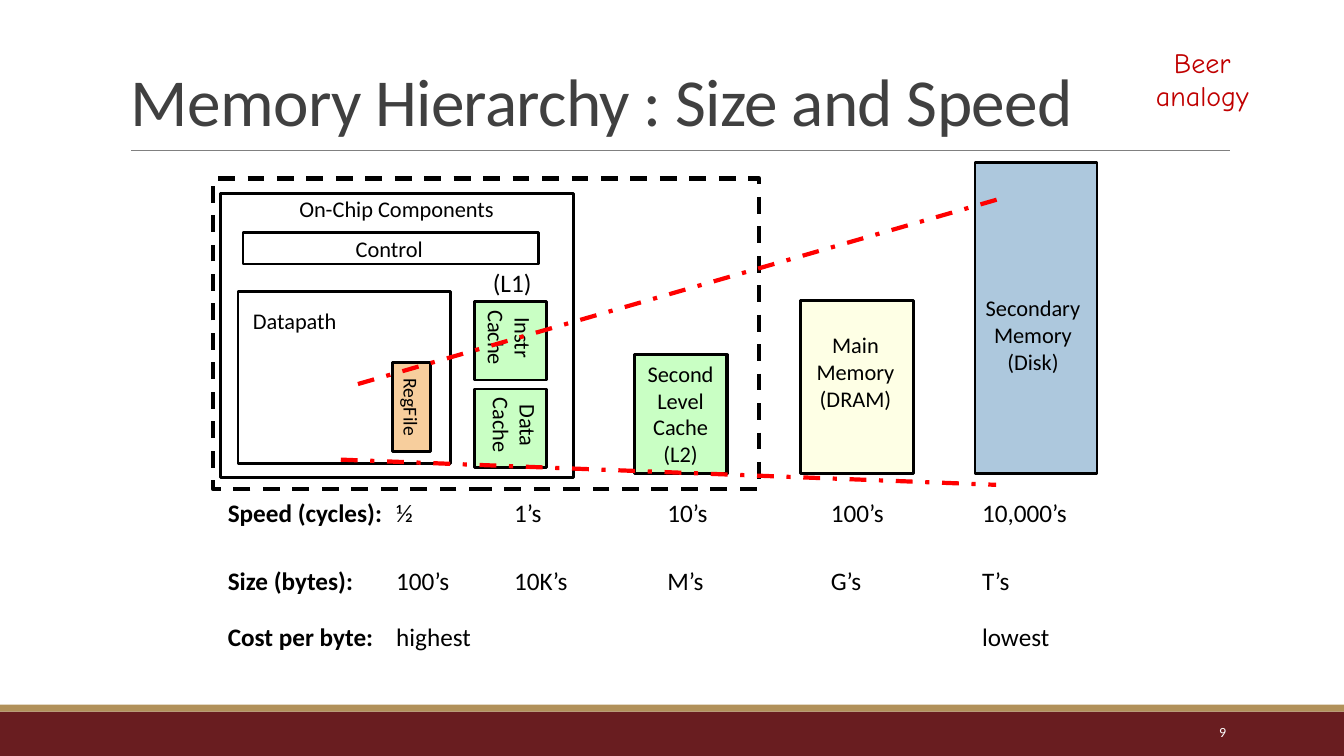
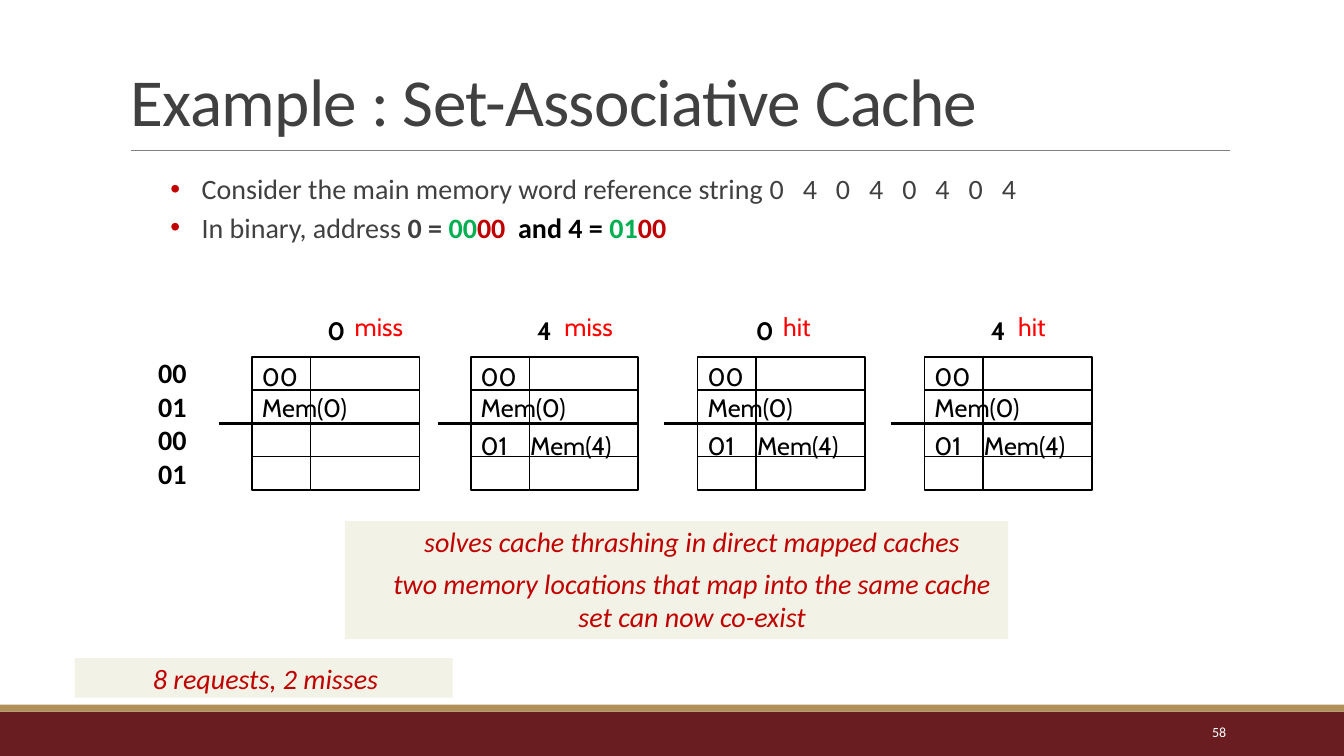
"""Build two lecture slides on the memory hierarchy and set-associative caches."""
from lxml import etree
from pptx import Presentation
from pptx.dml.color import RGBColor
from pptx.enum.dml import MSO_LINE as Dash
from pptx.enum.shapes import MSO_CONNECTOR as Link, MSO_SHAPE as Form
from pptx.enum.text import MSO_ANCHOR as Anchor, PP_ALIGN as Align
from pptx.oxml.ns import qn
from pptx.util import Inches, Pt

BLACK = RGBColor(0x00, 0x00, 0x00)
WHITE = RGBColor(0xFF, 0xFF, 0xFF)
GRAY = RGBColor(0x40, 0x40, 0x40)
RULE = RGBColor(0x80, 0x80, 0x80)
MAROON = RGBColor(0x69, 0x1D, 0x20)
GOLD = RGBColor(0xB1, 0x91, 0x5A)
CRIMSON = RGBColor(0xC0, 0x00, 0x00)
RED = RGBColor(0xFF, 0x00, 0x00)
LEAF = RGBColor(0x00, 0xB0, 0x50)
MINT = RGBColor(0xC9, 0xFF, 0xC4)
BLUE = RGBColor(0xAD, 0xC8, 0xDD)
CREAM = RGBColor(0xFE, 0xFF, 0xE5)
PEACH = RGBColor(0xF7, 0xCE, 0x9D)
SAND = RGBColor(0xF3, 0xF2, 0xE6)

WIDE = {"margin_left": 0.1, "margin_right": 0.1, "margin_top": 0.05, "margin_bottom": 0.05}
SLIM = {"margin_left": 0.07, "margin_right": 0.07, "margin_top": 0.03, "margin_bottom": 0.03}
FLUSH = {**WIDE, "margin_left": 0, "margin_right": 0}
MID = {"alignment": Align.CENTER}
TIGHT = {"line_spacing": 0.85}


class Deck:
    """Hold the shared style and the current slide."""

    def __init__(self):
        self.deck = Presentation()
        self.deck.slide_width, self.deck.slide_height = Inches(13.33), Inches(7.5)
        self.slide = None

    def page(self, title, number):
        self.slide = self.deck.slides.add_slide(self.deck.slide_layouts[6])
        self.box((0, 7.06, 13.33, 0.44), MAROON)
        self.box((0, 6.99, 13.33, 0.07), GOLD)
        self.line((1.3, 1.49), (12.2, 1.49), RULE, 0.5)
        self.text((1.2, 0.31, 11, 1.13), [title], TIGHT, anchor=Anchor.BOTTOM,
                  size=48, color=GRAY, spc=-50)
        self.text((10.83, 7.06, 1.43, 0.4), [number], {"alignment": Align.RIGHT},
                  anchor=Anchor.MIDDLE, size=10, color=WHITE)

    def box(self, at, fill=None, line=None, width=2, dash=None):
        shape = self.slide.shapes.add_shape(Form.RECTANGLE, *map(Inches, at))
        shape.shadow.inherit = False
        if fill is None:
            shape.fill.background()
        else:
            shape.fill.solid()
            shape.fill.fore_color.rgb = fill
        if line is None:
            shape.line.fill.background()
        else:
            self.pen(shape.line, line, width, dash)
        return shape

    def pen(self, line, color, width, dash):
        line.color.rgb = color
        for key, value in {"width": Pt(width), "dash_style": dash}.items():
            setattr(line, key, value)

    def line(self, start, end, color=BLACK, width=1, dash=None, head=None, tail=None):
        link = self.slide.shapes.add_connector(Link.STRAIGHT, *map(Inches, (*start, *end)))
        if head:
            link.begin_connect(*head)
        if tail:
            link.end_connect(*tail)
        self.pen(link.line, color, width, dash)
        etree.SubElement(link._element.spPr, qn("a:effectLst"))

    def text(self, at, lines, para=None, turn=0, **look):
        shape = self.slide.shapes.add_textbox(*map(Inches, at))
        shape.rotation = turn
        self.label(shape, lines, para, **look)

    def label(self, shape, lines, para=None, pad=WIDE, anchor=Anchor.TOP, gap=0,
              stops=(), left=0, hang=0, bullet=None, **font):
        frame = shape.text_frame
        frame.word_wrap, frame.vertical_anchor = True, anchor
        for key, value in pad.items():
            setattr(frame, key, Inches(value))
        for i, runs in enumerate(lines):
            part = frame.paragraphs[0] if i == 0 else frame.add_paragraph()
            self.indent(part._p.get_or_add_pPr(), left, hang, bullet, stops)
            form = {"alignment": Align.LEFT, **(para or {})}
            if i and gap:
                form["space_before"] = Pt(gap)
            for key, value in form.items():
                setattr(part, key, value)
            for words, own in [(runs, {})] if isinstance(runs, str) else runs:
                self.run(part, words, {**font, **own})

    def indent(self, props, left, hang, bullet, stops):
        if left:
            props.set("marL", str(Inches(left)))
            props.set("indent", str(Inches(-hang)))
        if bullet:
            tint = etree.SubElement(props, qn("a:buClr"))
            etree.SubElement(tint, qn("a:srgbClr"), val=str(CRIMSON))
            etree.SubElement(props, qn("a:buFont"), typeface="Arial")
            etree.SubElement(props, qn("a:buChar"), char=bullet)
        if stops:
            tabs = etree.SubElement(props, qn("a:tabLst"))
            for stop in stops:
                etree.SubElement(tabs, qn("a:tab"), pos=str(Inches(stop)), algn="l")

    def run(self, part, words, own):
        run = part.add_run()
        run.text = words
        look = {"name": "Calibri", "size": 16, "color": BLACK, **own}
        run.font.color.rgb = look.pop("color")
        look["size"] = Pt(look["size"])
        spc = look.pop("spc", None)
        if spc:
            run._r.get_or_add_rPr().set("spc", str(spc))
        for key, value in look.items():
            setattr(run.font, key, value)


def levels(deck):
    deck.page("Memory Hierarchy : Size and Speed", "9")
    facts = [
        (4.95, "Speed (cycles):", "\t½\t1’s\t10’s\t100’s\t10,000’s"),
        (5.62, "Size (bytes):", "\t100’s\t10K’s\tM’s\tG’s\tT’s"),
        (6.18, "Cost per byte:", "\thighest\t\t\t\tlowest"),
    ]
    for top, name, values in facts:
        deck.text((2.19, top, 8.87, 0.32), [[(name, {"bold": True}), (values, {})]], TIGHT,
                  pad=SLIM, size=18, stops=(1.67, 2.84, 4.36, 5.98, 7.48))

    deck.box((2.11, 1.77, 5.42, 3.08), None, BLACK, 3, Dash.DASH)
    second = deck.box((6.29, 3.52, 0.92, 1.18), MINT, BLACK, 2.25)
    deck.label(second, ["Second", "Level", "Cache", "(L2)"], MID)
    stores = [
        ((9.67, 1.61, 1.21, 3.09), BLUE, (9.64, 2.87, 1.21, 0.91), ["Secondary", "Memory", "(Disk)"]),
        ((7.94, 2.98, 1.12, 1.72), CREAM, (7.98, 3.24, 1.01, 0.91), ["Main", "Memory", "(DRAM)"]),
    ]
    for at, fill, spot, words in stores:
        deck.box(at, fill, BLACK)
        deck.text(spot, words, MID)

    parts = [
        ((2.41, 2.31, 2.93, 0.31), (3.43, 2.28, 0.92, 0.37), "Control"),
        ((2.36, 2.89, 2.11, 1.71), (2.41, 3, 1.09, 0.37), "Datapath"),
        ((2.19, 1.92, 3.5, 2.82), (2.87, 1.89, 2.33, 0.37), "On-Chip Components"),
    ]
    for at, spot, word in parts:
        deck.box(at, None, BLACK)
        deck.text(spot, [word])
    reg = deck.box((3.89, 3.6, 0.38, 0.88), PEACH, BLACK)
    deck.label(reg, ["RegFile"], MID, anchor=Anchor.MIDDLE, size=14)
    reg.text_frame._txBody.bodyPr.set("vert", "vert")
    for top, left, word in [(3.86, 4.62, "Data"), (2.99, 4.57, "Instr")]:
        deck.box((4.71, top, 0.71, 0.78), MINT, BLACK)
        deck.text((left, top + 0.04, 0.97, 0.64), [word, "Cache"], MID, turn=90)
    deck.text((4.68, 2.6, 0.8, 0.4), ["(L1)"], MID, size=18)

    for start, end in [((3.55, 3.81), (9.89, 1.98)), ((3.38, 4.56), (9.88, 4.81))]:
        deck.line(start, end, RED, 3, Dash.DASH_DOT)
    deck.text((11.06, 0.4, 1.73, 0.77), ["Beer analogy"], MID,
              name="Comic Neue", size=20, color=CRIMSON)


def grid(deck, left, top, width, row):
    cell = deck.box((left, top, width, 4 * row), None, BLACK, 1)
    for i in (1, 2, 3):
        y = top + i * row
        ends = {"head": (cell, 1), "tail": (cell, 3)} if i == 2 else {}
        deck.line((left, y), (left + width, y), **ends)
    return cell


def cache(deck):
    deck.page("Example : Set-Associative Cache", "58")
    bold = {"bold": True}
    black, green, red = ({**bold, "color": c} for c in (BLACK, LEAF, CRIMSON))
    points = [
        [("Consider the main memory word reference string ", {}),
         ("0 4 0 4 0 4 0 4", {"spc": 450})],
        [("In binary, address ", {}), ("0 = ", bold), ("00", green), ("00", red),
         (" ", {**black, "spc": 450}), ("and 4 = ", black), ("01", green), ("00", red)],
    ]
    deck.text((1.2, 1.69, 11, 0.9), points, {"line_spacing": 0.9, "space_after": Pt(4)},
              pad=FLUSH, gap=2, left=0.8, hang=0.31, bullet="•", size=20, color=GRAY)

    top, row, tag, data = 3.54, 0.33, 0.58, 1.08
    steps = [(2.5, 3.15, "0", "miss"), (4.67, 5.23, "4", "miss"),
             (6.92, 7.4, "0", "hit"), (9.17, 9.73, "4", "hit")]
    for i, (left, spot, word, result) in enumerate(steps):
        grid(deck, left, top, tag, row)
        cell = grid(deck, left + tag, top, data, row)
        y = top + 2 * row
        deck.line((left - 0.33, y), (left + tag + data, y), width=2.25, tail=(cell, 3))
        deck.text((spot, 3.08, 0.5, 0.4), [word], name="Cabin", size=18, bold=True)
        deck.text((spot + 0.27, 3.04, 0.8, 0.4), [result], name="Cabin", size=18, color=RED)
        deck.text((left, top, 1.6, 0.7), ["00", "Mem(0)"], name="Cabin", size=18)
        if i:
            deck.text((left, 4.22, 1.6, 0.4), ["01\tMem(4)"], name="Cabin", size=18, stops=(0.49,))

    notes = [
        ((3.42, 5.17, 6.58, 1.17), 0.31,
         ["solves cache thrashing in direct mapped caches",
          "two memory locations that map into the same cache set can now co-exist"]),
        ((0.74, 6.53, 3.75, 0.39), 0.04, ["8 requests, 2 misses"]),
    ]
    for at, left, words in notes:
        deck.label(deck.box(at, SAND), words, MID, pad=SLIM, gap=6, left=left,
                   size=20, color=CRIMSON, italic=True)
    deck.text((1.47, 3.48, 0.6, 1.45), ["00", "01", "00", "01"], size=20, bold=True)


def main():
    show = Deck()
    levels(show)
    cache(show)
    show.deck.save("out.pptx")


if __name__ == "__main__":
    main()
